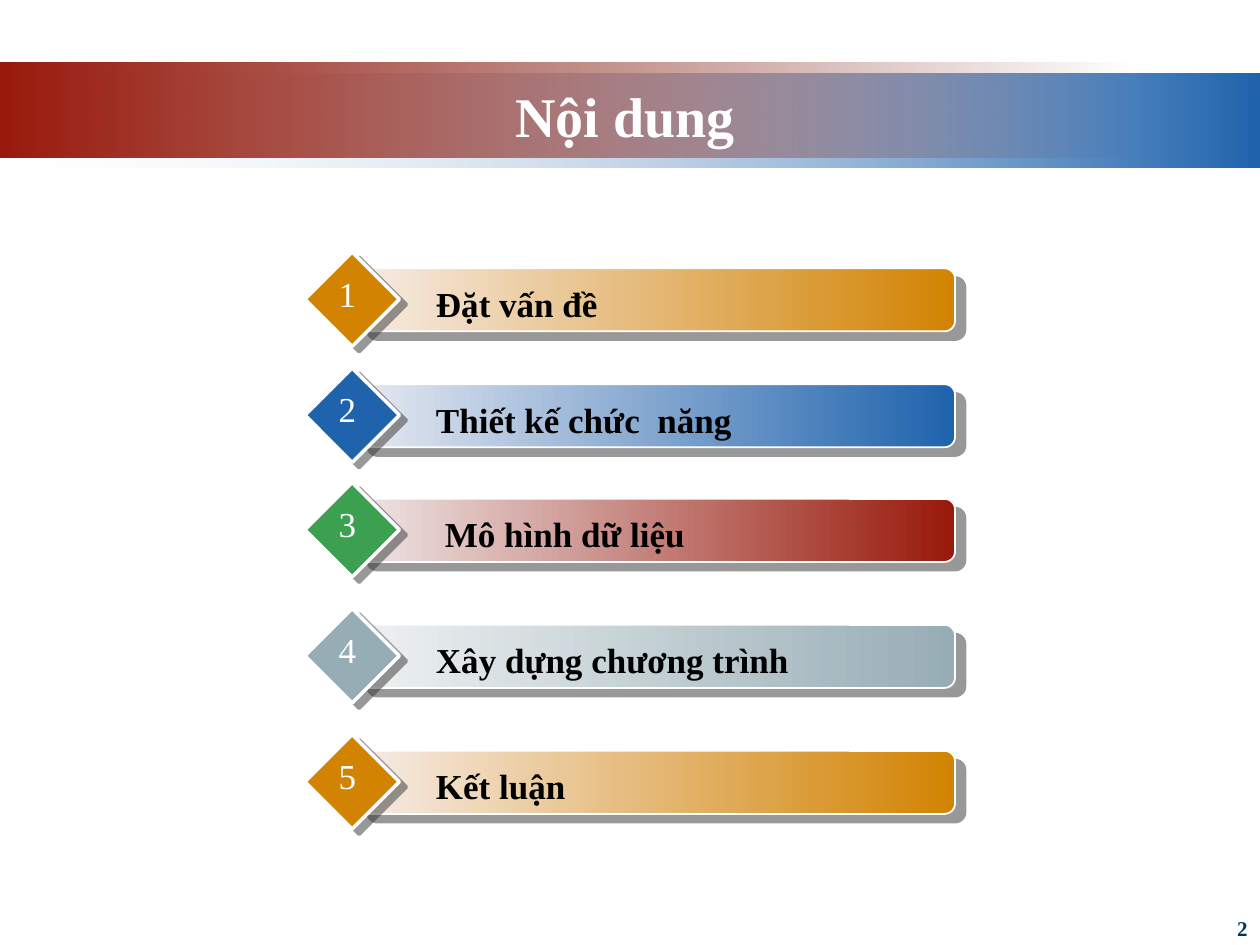
"""Build the agenda slide: a gradient title band above five numbered topics."""
from dataclasses import dataclass

from lxml import etree
from pptx import Presentation
from pptx.dml.color import RGBColor
from pptx.enum.shapes import MSO_SHAPE
from pptx.enum.text import MSO_ANCHOR, MSO_AUTO_SIZE, PP_ALIGN
from pptx.oxml.ns import qn
from pptx.util import Inches, Pt

RECTANGLE, BAR, DIAMOND = MSO_SHAPE.RECTANGLE, MSO_SHAPE.ROUNDED_RECTANGLE, MSO_SHAPE.DIAMOND
LEFT, CENTER, RIGHT = PP_ALIGN.LEFT, PP_ALIGN.CENTER, PP_ALIGN.RIGHT
TOP, MIDDLE = MSO_ANCHOR.TOP, MSO_ANCHOR.MIDDLE
FIXED, GROW = MSO_AUTO_SIZE.NONE, MSO_AUTO_SIZE.SHAPE_TO_FIT_TEXT


@dataclass(frozen=True)
class Theme:
    """Colours, font and type sizes of the slide."""
    font: str = "Times New Roman"
    title_size: int = 32
    topic_size: int = 20
    page_size: int = 12
    white: str = "FFFFFF"
    black: str = "000000"
    navy: str = "003366"
    shadow: str = "333333"
    orange: str = "D28302"
    orange_tint: str = "F6ECE6"
    blue: str = "1F63AD"
    blue_tint: str = "E6E9F1"
    blue_fade: str = "F1F2F7"
    red: str = "99190B"
    red_tint: str = "EEE6E6"
    red_fade: str = "6D1208"
    green: str = "3CA051"
    gray: str = "97ADB5"
    gray_tint: str = "EEF1F2"


THEME = Theme()


@dataclass(frozen=True)
class Topic:
    """One agenda row; top is the upper tip of its diamond, in inches."""
    label: str
    top: float
    diamond: str
    tint: str
    shade: str
    indent: float = 0.38


TOPICS = (
    Topic("Đặt vấn đề", 2, THEME.orange, THEME.orange_tint, THEME.orange),
    Topic("Thiết kế chức  năng", 2.92, THEME.blue, THEME.blue_tint, THEME.blue),
    Topic("Mô hình dữ liệu", 3.83, THEME.green, THEME.red_tint, THEME.red, indent=0.45),
    Topic("Xây dựng chương trình", 4.83, THEME.gray, THEME.gray_tint, THEME.gray),
    Topic("Kết luận", 5.83, THEME.orange, THEME.orange_tint, THEME.orange),
)


def rgb(color: str) -> RGBColor:
    """Turn a hex string into a colour."""
    return RGBColor.from_string(color)


def add_preset(shapes, preset, left: float, top: float, width: float, height: float):
    """Add a preset shape without the default shadow."""
    shape = shapes.add_shape(preset, Inches(left), Inches(top), Inches(width), Inches(height))
    shape.shadow.inherit = False
    return shape


def fill_gradient(shape, start: str, end: str, clear_stop: int | None = None) -> None:
    """Fill left to right, with one stop fully transparent if asked."""
    shape.fill.gradient()
    shape.fill.gradient_angle = 0
    for stop, color in zip(shape.fill.gradient_stops, (start, end)):
        stop.color.rgb = rgb(color)
    if clear_stop is not None:
        colors = list(shape.element.spPr.iter(qn("a:srgbClr")))
        etree.SubElement(colors[clear_stop], qn("a:alpha"), val="0")


def outline(shape, width: float) -> None:
    """Give a shape a white outline."""
    shape.line.color.rgb = rgb(THEME.white)
    shape.line.width = Pt(width)


def cast_shadow(shape, distance: float, angle: int) -> None:
    """Add a hard, half-transparent shadow."""
    effects = shape.element.spPr.find(qn("a:effectLst"))
    shadow = etree.SubElement(effects, qn("a:outerShdw"), dist=str(Pt(distance)),
                              dir=str(angle * 60000), algn="ctr", rotWithShape="0")
    color = etree.SubElement(shadow, qn("a:srgbClr"), val=THEME.shadow)
    etree.SubElement(color, qn("a:alpha"), val="50000")


def write(shape, text: str, *, size: int, color: str, bold: bool = False, align=LEFT,
          anchor=TOP, indent: float = 0.1, wrap: bool = True, fit=FIXED) -> None:
    """Write one formatted paragraph into a shape."""
    frame = shape.text_frame
    frame.text = text
    frame.word_wrap = wrap
    frame.auto_size = fit
    frame.vertical_anchor = anchor
    frame.margin_left = Inches(indent)
    paragraph = frame.paragraphs[0]
    paragraph.alignment = align
    font = paragraph.runs[0].font
    font.name, font.size, font.bold = THEME.font, Pt(size), bold
    font.color.rgb = rgb(color)


def add_text(shapes, text: str, left: float, top: float, width: float, height: float,
             **text_format) -> None:
    """Add a text box and write into it."""
    box = shapes.add_textbox(Inches(left), Inches(top), Inches(width), Inches(height))
    write(box, text, **text_format)


def add_header(slide) -> None:
    """Draw the two overlapping bands and set the title over them."""
    lower_band = add_preset(slide.shapes, RECTANGLE, 0, 0.58, 10, 0.75)
    fill_gradient(lower_band, THEME.blue_fade, THEME.blue, clear_stop=0)
    upper_band = add_preset(slide.shapes, RECTANGLE, 0, 0.5, 9, 0.75)
    fill_gradient(upper_band, THEME.red, THEME.red_fade, clear_stop=1)
    for band in (lower_band, upper_band):
        band.line.fill.background()

    title = slide.shapes.title
    title.left, title.top = Inches(0.92), Inches(0.6)
    title.width, title.height = Inches(8.08), Inches(0.62)
    write(title, "Nội dung", size=THEME.title_size, color=THEME.white, bold=True,
          align=CENTER, anchor=MIDDLE)
    upper_band.element.addnext(title.element)


def add_topic(slide, number: int, topic: Topic) -> None:
    """Draw one grouped agenda row."""
    row = slide.shapes.add_group_shape().shapes
    bar = add_preset(row, BAR, 2.83, topic.top + 0.13, 4.75, 0.5)
    fill_gradient(bar, topic.tint, topic.shade)
    outline(bar, 1)
    cast_shadow(bar, 7.8, 40)

    diamond = add_preset(row, DIAMOND, 2.42, topic.top, 0.75, 0.75)
    diamond.fill.solid()
    diamond.fill.fore_color.rgb = rgb(topic.diamond)
    outline(diamond, 2)
    cast_shadow(diamond, 5, 37)

    add_text(row, topic.label, 3.08, topic.top + 0.19, 3.75, 0.44, size=THEME.topic_size,
             color=THEME.black, bold=True, indent=topic.indent, fit=GROW)
    add_text(row, str(number), 2.59, topic.top + 0.11, 0.34, 0.44, size=THEME.topic_size,
             color=THEME.white, wrap=False, fit=GROW)


def main() -> None:
    """Build and save the slide."""
    deck = Presentation()
    deck.slide_width, deck.slide_height = Inches(10), Inches(7.5)
    slide = deck.slides.add_slide(deck.slide_layouts[5])
    add_header(slide)
    for number, topic in enumerate(TOPICS, start=1):
        add_topic(slide, number, topic)
    add_text(slide.shapes, "2", 7.67, 7.22, 2.33, 0.28, size=THEME.page_size,
             color=THEME.navy, bold=True, align=RIGHT)
    deck.save("out.pptx")


if __name__ == "__main__":
    main()
